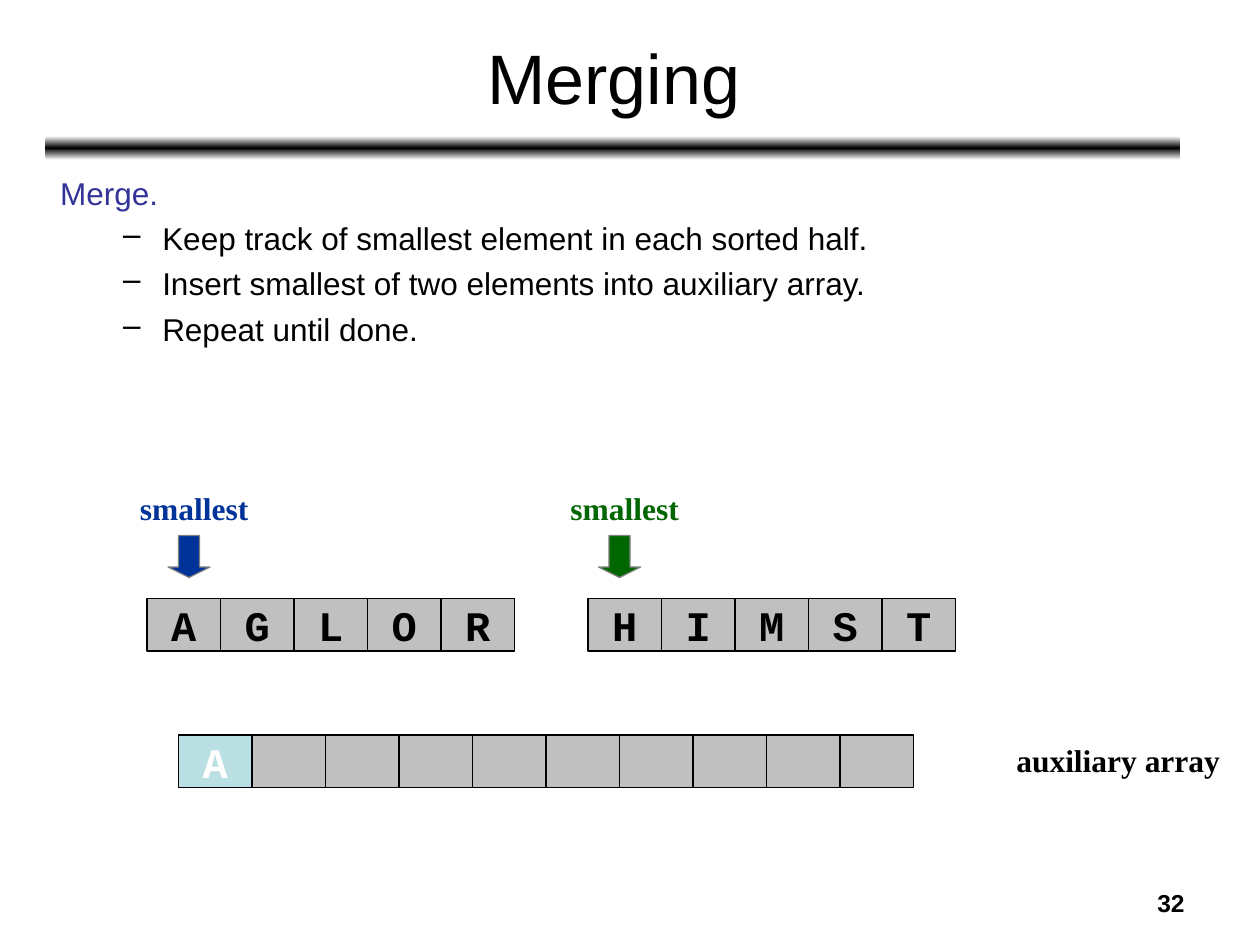
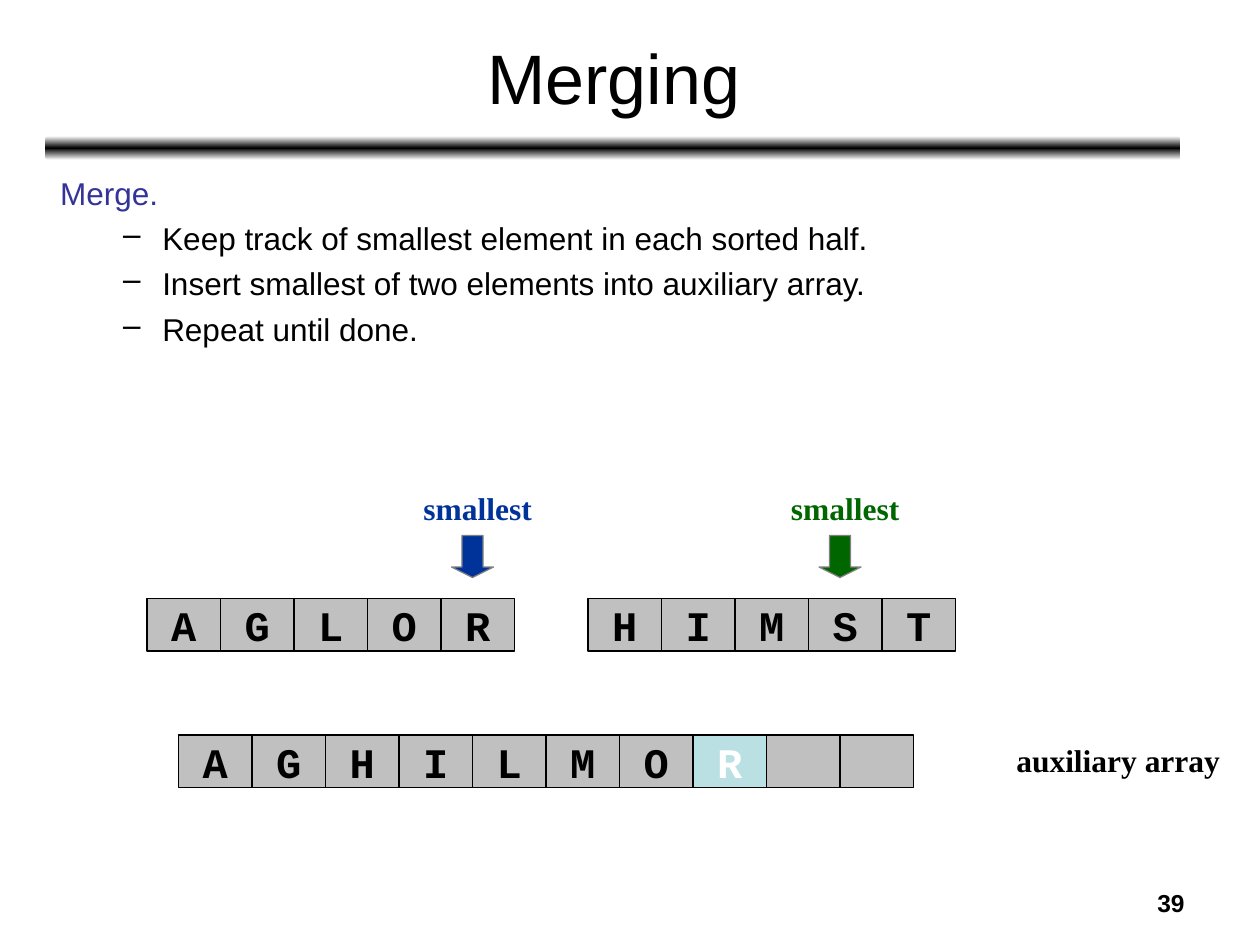
"""Build two steps of a merge sort walk-through."""
from lxml import etree
from pptx import Presentation, util as u
from pptx.dml.color import RGBColor
from pptx.enum import shapes, text
from pptx.oxml import parse_xml
from pptx.oxml.ns import qn

TITLE = "Merging"
HEAD = "Merge."
STEPS = [
    "Keep track of smallest element in each sorted half.",
    "Insert smallest of two elements into auxiliary array.",
    "Repeat until done.",
]
HALVES = [("AGLOR", 14), ("HIMST", 56)]
SIZE = sum(len(word) for word, col in HALVES)
FRAMES = [
    {"page": "32", "marks": (16, 57), "done": "A"},
    {"page": "39", "marks": (43, 78), "done": "AGHILMOR"},
]

BLACK, WHITE, GRAY, EDGE = "000000", "FFFFFF", "C0C0C0", "808080"
BLUE, GREEN, AQUA, INDIGO = "003399", "006600", "BBE0E3", "333399"
SANS, SERIF, MONO = "Arial", "Times New Roman", "Courier New"
UNIT = 1 / 12
CELL_W, CELL_H = 7, 5
HALF_ROW, AUX_ROW, AUX_COL = 57, 70, 17
LABEL_ROW, MARK_ROW, MARK = 46, 51, 4

ALIGN, SHAPE = text.PP_ALIGN, shapes.MSO_SHAPE
STOPS = "".join(
    f'<a:gs pos="{pos * 1000}"><a:srgbClr val="{tone}"/></a:gs>'
    for pos, tone in [(0, WHITE), (50, BLACK), (100, WHITE)])
FADE = ('<a:gradFill xmlns:a="http://schemas.openxmlformats.org/drawingml/2006/main"'
        f' rotWithShape="1"><a:gsLst>{STOPS}</a:gsLst>'
        '<a:lin ang="5400000" scaled="0"/></a:gradFill>')


def hue(code):
    """Turn a hex string into a colour."""
    return RGBColor.from_string(code)


def grid(*parts):
    """Turn grid units into inches."""
    return [part * UNIT for part in parts]


def style(para, size, face, tone, align=ALIGN.LEFT, bold=False):
    """Format one paragraph and its runs."""
    para.alignment = align
    for run in para.runs:
        font = run.font
        font.size, font.name, font.bold = u.Pt(size), face, bold
        font.color.rgb = hue(tone)


def write(slide, box, words, *look):
    """Add a wrapped text box and return its frame."""
    frame = slide.shapes.add_textbox(*map(u.Inches, box)).text_frame
    frame.word_wrap = True
    frame.text = words
    style(frame.paragraphs[0], *look)
    return frame


def draw(slide, kind, box, fill=None, line=None):
    """Add a flat preset shape."""
    shape = slide.shapes.add_shape(kind, *map(u.Inches, box))
    shape.shadow.inherit = False
    if fill:
        shape.fill.solid()
        shape.fill.fore_color.rgb = hue(fill)
    if line:
        shape.line.color.rgb = hue(line)
        shape.line.width = u.Pt(0.75)
    else:
        shape.line.fill.background()
    return shape


def base(slide, page):
    """Add the band, title, bullet list and page number."""
    band = draw(slide, SHAPE.ROUNDED_RECTANGLE, (0.36, 1.08, 9.01, 0.19))
    geom = band.element.spPr.find(qn("a:prstGeom"))
    geom.addnext(parse_xml(FADE))
    title = write(slide, (0.37, 0.11, 9, 0.99), TITLE, 40, SANS, BLACK, ALIGN.CENTER)
    title.vertical_anchor = text.MSO_ANCHOR.MIDDLE
    body = write(slide, (0.38, 1.33, 9, 5.55), HEAD, 18, SANS, INDIGO)
    for step in STEPS:
        para = body.add_paragraph()
        para.text = step
        para.space_before = u.Pt(4.3)
        style(para, 18, SANS, BLACK)
        props = para._p.get_or_add_pPr()
        props.set("marL", str(u.Inches(0.81)))
        props.set("indent", str(u.Inches(-0.31)))
        etree.SubElement(props, qn("a:buChar")).set("char", "–")
    write(slide, (7.17, 7, 2.33, 0.35), page, 14, SANS, BLACK, ALIGN.RIGHT, True)


def cells(slide, word, col, row, hot=None):
    """Draw a row of array cells, with one in a bright tone."""
    for idx, char in enumerate(word):
        fill, ink = (AQUA, WHITE) if idx == hot else (GRAY, BLACK)
        box = grid(col + idx * CELL_W, row, CELL_W, CELL_H)
        frame = draw(slide, SHAPE.RECTANGLE, box, fill, BLACK).text_frame
        if char.strip():
            frame.word_wrap = False
            frame.vertical_anchor = text.MSO_ANCHOR.MIDDLE
            frame.text = char
            style(frame.paragraphs[0], 24, MONO, ink, ALIGN.CENTER, True)


def label(slide, words, col, row, width, tone):
    """Add a bold serif label."""
    write(slide, grid(col, row, width, 4.8), words, 18, SERIF, tone, ALIGN.CENTER, True)


def main():
    """Build and save the slides."""
    deck = Presentation()
    deck.slide_width, deck.slide_height = u.Inches(10), u.Inches(7.5)
    for item in FRAMES:
        slide = deck.slides.add_slide(deck.slide_layouts[6])
        base(slide, item["page"])
        label(slide, "auxiliary array", 95, AUX_ROW, 23, BLACK)
        for col, tone in zip(item["marks"], (BLUE, GREEN)):
            label(slide, "smallest", col - 10, LABEL_ROW, 25, tone)
            arrow = draw(slide, SHAPE.DOWN_ARROW, grid(col, MARK_ROW, MARK, MARK), tone, EDGE)
            arrow.adjustments[0], arrow.adjustments[1] = 0.5, 0.25
        for word, col in HALVES:
            cells(slide, word, col, HALF_ROW)
        done = item["done"]
        cells(slide, done.ljust(SIZE), AUX_COL, AUX_ROW, len(done) - 1)
    deck.save("out.pptx")


if __name__ == "__main__":
    main()
